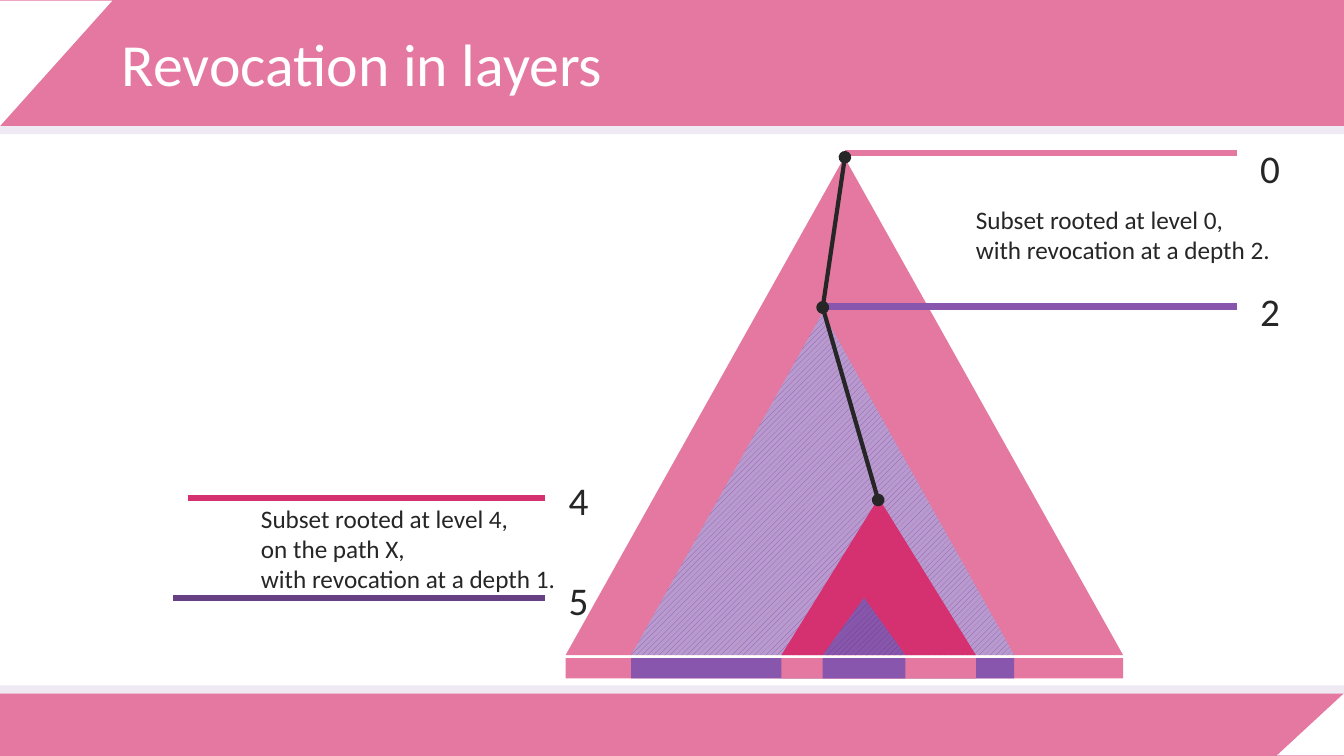
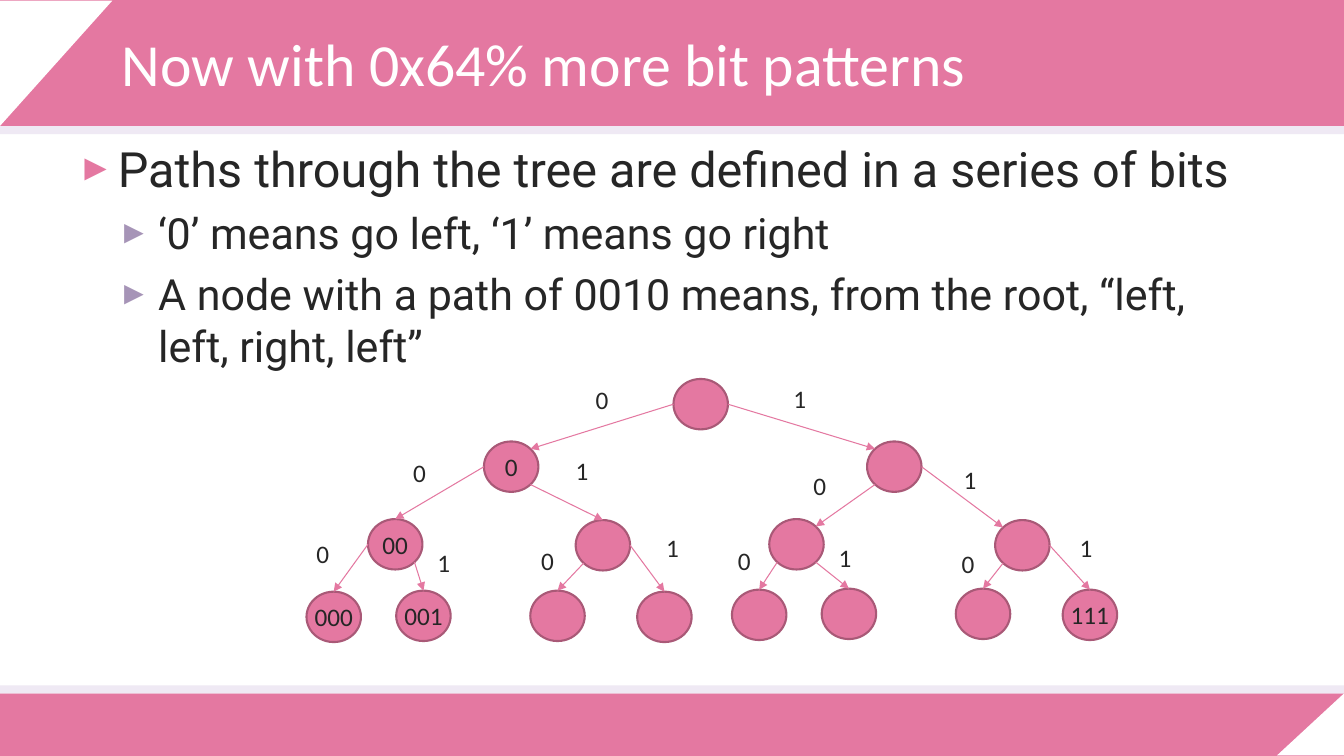
from math import cos, radians, sin

from lxml.etree import SubElement
from pptx import Presentation
from pptx.dml.color import RGBColor
from pptx.enum.dml import MSO_PATTERN
from pptx.enum.shapes import MSO_CONNECTOR, MSO_SHAPE
from pptx.enum.text import MSO_ANCHOR, PP_ALIGN
from pptx.oxml.ns import qn
from pptx.util import Inches, Pt

PINK, CRIMSON = "E478A1", "D5306F"
PURPLE, DEEP_PURPLE, LILAC = "8857AD", "664083", "B89ACE"
PALE, WHITE, INK = "EFE9F4", "FFFFFF", "262626"
NODE_EDGE, SUB_BULLET = "A95977", "A694B7"
HEADING_FONT, BODY_FONT = "Calibri", "Roboto"
SLIDE_W, SLIDE_H = 13.33, 7.5

# left, top, width, triangle fill (or hatch pair), bar colour; relative to the pyramid
PYRAMID_LAYERS = [
    (0, 0, 5.53, PINK, PINK),
    (0.65, 1.54, 3.8, (PURPLE, LILAC), PURPLE),
    (2.14, 3.38, 1.93, CRIMSON, PINK),
    (2.55, 4.37, 0.82, (DEEP_PURPLE, PURPLE), PURPLE),
]
PYRAMID_BASE = 4.94
REVOCATION_PATH = [(2.77, 0), (2.55, 1.49), (3.1, 3.4)]

# path: node left, top; relative to the tree
NODES = {
    "": (3.64, 0.01),
    "0": (1.76, 0.63), "1": (5.56, 0.63),
    "00": (0.61, 1.4), "01": (2.67, 1.41), "10": (4.59, 1.4), "11": (6.83, 1.41),
    "000": (0, 2.12), "001": (0.89, 2.11), "010": (2.22, 2.11), "011": (3.28, 2.12),
    "100": (4.22, 2.1), "101": (5.11, 2.09), "110": (6.44, 2.09), "111": (7.5, 2.1),
}
# child path: site on the parent, site on the child, left and top of the bit
BRANCHES = {
    "0": (2, 7, 2.77, 0.01), "1": (6, 1, 4.73, 0),
    "00": (2, 0, 0.96, 0.74), "01": (5, 0, 2.57, 0.72),
    "10": (3, 7, 4.93, 0.87), "11": (6, 1, 6.42, 0.81),
    "000": (2, 0, 0, 1.54), "001": (5, 0, 1.2, 1.63),
    "010": (3, 0, 2.23, 1.61), "011": (6, 0, 3.47, 1.48),
    "100": (3, 0, 4.18, 1.61), "101": (5, 0, 5.18, 1.58),
    "110": (3, 0, 6.4, 1.64), "111": (6, 0, 7.57, 1.48),
}
NAMED_NODES = {"0", "00", "000", "001", "111"}
NODE_W, NODE_H = 0.54, 0.5


def rgb(value):
    return RGBColor.from_string(value)


def set_all(target, values):
    for name, value in values.items():
        setattr(target, name, value)


def write(paragraph, text, size, color=INK, font=HEADING_FONT):
    run = paragraph.add_run()
    run.text = text
    set_all(run.font, {"name": font, "size": Pt(size)})
    run.font.color.rgb = rgb(color)


def add_text(slide, box, lines, size, color=INK, anchor=MSO_ANCHOR.TOP):
    frame = slide.shapes.add_textbox(*map(Inches, box)).text_frame
    set_all(frame, {"word_wrap": True, "vertical_anchor": anchor})
    for index, line in enumerate(lines):
        paragraph = frame.add_paragraph() if index else frame.paragraphs[0]
        write(paragraph, line, size, color)


def add_figure(slide, preset, box, fill, rotation=0):
    """Add a borderless shape; a pair of colours gives a diagonal hatch."""
    figure = slide.shapes.add_shape(preset, *map(Inches, box))
    figure.shadow.inherit = False
    figure.rotation = rotation
    figure.line.fill.background()
    if isinstance(fill, tuple):
        figure.fill.patterned()
        figure.fill.pattern = MSO_PATTERN.WIDE_UPWARD_DIAGONAL
        figure.fill.fore_color.rgb, figure.fill.back_color.rgb = map(rgb, fill)
    else:
        figure.fill.solid()
        figure.fill.fore_color.rgb = rgb(fill)
    return figure


def add_line(slide, start, end, color, width, head=None, tail=None):
    line = slide.shapes.add_connector(
        MSO_CONNECTOR.STRAIGHT, *map(Inches, (*start, *end)))
    line.line.color.rgb = rgb(color)
    line.line.width = Pt(width)
    outline = line.line._get_or_add_ln()
    for tag, kind in (("a:headEnd", head), ("a:tailEnd", tail)):
        if kind:
            SubElement(outline, qn(tag), type=kind)
    SubElement(line._element.spPr, qn("a:effectLst"))
    return line


def add_titled_slide(deck, title):
    slide = deck.slides.add_slide(deck.slide_layouts[6])
    rect, corner = MSO_SHAPE.RECTANGLE, MSO_SHAPE.RIGHT_TRIANGLE
    add_figure(slide, rect, (0, 6.88, SLIDE_W, 0.62), PINK)
    add_figure(slide, corner, (12.69, 6.85, 0.62, 0.67), WHITE, 270)
    add_figure(slide, rect, (0, 0, SLIDE_W, 1.25), PINK)
    add_figure(slide, corner, (-0.07, 0.07, 1.25, 1.12), WHITE, 90)
    for top in (1.25, 6.8):
        add_figure(slide, rect, (0, top, SLIDE_W, 0.08), PALE)
    add_text(slide, (1.11, 0, 11.56, 1.25), [title], 42.7, WHITE, MSO_ANCHOR.MIDDLE)
    return slide


def add_pyramid(slide, left, top):
    for dx, dy, width, fill, bar_color in PYRAMID_LAYERS:
        add_figure(slide, MSO_SHAPE.ISOSCELES_TRIANGLE,
                   (left + dx, top + dy, width, PYRAMID_BASE - dy), fill)
        add_figure(slide, MSO_SHAPE.RECTANGLE,
                   (left + dx, top + PYRAMID_BASE + 0.03, width, 0.2), bar_color)


def add_level(slide, number, start, end, y, color, label_top):
    add_line(slide, (start, y), (end, y), color, 4.5)
    add_text(slide, (end + 0.13, label_top, 0.55, 0.52), [number], 28)


def add_revocation_path(slide, left, top):
    points = [(left + dx, top + dy) for dx, dy in REVOCATION_PATH]
    for start, end in zip(points, points[1:]):
        add_line(slide, start, end, INK, 3, head="oval", tail="oval")


def add_bullets(slide, box, items):
    frame = slide.shapes.add_textbox(*map(Inches, box)).text_frame
    frame.word_wrap = True
    for index, (level, text) in enumerate(items):
        paragraph = frame.add_paragraph() if index else frame.paragraphs[0]
        size, before, color = ((34.7, 8, PINK), (30.7, 6.7, SUB_BULLET))[level]
        set_all(paragraph, {"level": level, "space_before": Pt(before)})
        properties = paragraph._p.get_or_add_pPr()
        properties.set("marL", str(Inches(0.4 * (level + 1))))
        properties.set("indent", str(Inches(-0.4)))
        bullet_color = SubElement(properties, qn("a:buClr"))
        SubElement(bullet_color, qn("a:srgbClr"), val=color)
        SubElement(properties, qn("a:buSzPct"), val="76000")
        SubElement(properties, qn("a:buFont"), typeface="Arial")
        SubElement(properties, qn("a:buChar"), char="►")
        write(paragraph, text, size, font=BODY_FONT)


def add_node(slide, left, top, name):
    node = add_figure(slide, MSO_SHAPE.OVAL, (left, top, NODE_W, NODE_H), PINK)
    node.line.color.rgb = rgb(NODE_EDGE)
    node.line.width = Pt(1.5)
    if name:
        frame = node.text_frame
        set_all(frame, {"margin_left": 0, "margin_right": 0, "margin_top": 0,
                        "margin_bottom": 0, "word_wrap": False,
                        "vertical_anchor": MSO_ANCHOR.MIDDLE})
        frame.paragraphs[0].alignment = PP_ALIGN.CENTER
        write(frame.paragraphs[0], name, 18)
    return node


def site_point(left, top, site):
    """Connection site of an ellipse, counted anticlockwise from the top."""
    angle = radians(90 + 45 * site)
    return (left + NODE_W / 2 * (1 + cos(angle)), top + NODE_H / 2 * (1 - sin(angle)))


def add_tree(slide, left, top):
    places = {path: (left + dx, top + dy) for path, (dx, dy) in NODES.items()}
    nodes = {path: add_node(slide, *place, path if path in NAMED_NODES else "")
             for path, place in places.items()}
    for child, (out_site, in_site, bit_dx, bit_dy) in BRANCHES.items():
        parent = child[:-1]
        branch = add_line(slide, site_point(*places[parent], out_site),
                          site_point(*places[child], in_site), PINK, 0.75,
                          tail="triangle")
        joints = branch._element.find(".//" + qn("p:cNvCxnSpPr"))
        for tag, path, site in (("a:stCxn", parent, out_site),
                                ("a:endCxn", child, in_site)):
            SubElement(joints, qn(tag), id=str(nodes[path].shape_id), idx=str(site))
        add_text(slide, (left + bit_dx, top + bit_dy, 0.46, 0.52), [child[-1]], 18)


def add_layers_slide(deck):
    slide = add_titled_slide(deck, "Revocation in layers")
    pyramid = (5.61, 1.56)
    add_pyramid(slide, *pyramid)
    for level in (("2", 8.16, 12.27, 3.04, PURPLE, 2.8),
                  ("0", 8.38, 12.27, 1.52, PINK, 1.38),
                  ("4", 1.86, 5.41, 4.94, CRIMSON, 4.68),
                  ("5", 1.72, 5.41, 5.93, DEEP_PURPLE, 5.67)):
        add_level(slide, *level)
    add_text(slide, (9.58, 1.98, 3.27, 0.71),
             ["Subset rooted at level 0,", "with revocation at a depth 2."], 18)
    add_text(slide, (2.49, 4.94, 3.46, 1.01),
             ["Subset rooted at level 4,", "on the path X,",
              "with revocation at a depth 1."], 18)
    add_revocation_path(slide, *pyramid)


def add_bits_slide(deck):
    slide = add_titled_slide(deck, "Now with 0x64% more bit patterns")
    add_bullets(slide, (0.67, 1.33, 12, 5.4), [
        (0, "Paths through the tree are defined in a series of bits"),
        (1, "‘0’ means go left, ‘1’ means go right"),
        (1, "A node with a path of 0010 means, from the root, “left, left, right, left”"),
    ])
    add_tree(slide, 3.04, 3.75)


def main():
    deck = Presentation()
    set_all(deck, {"slide_width": Inches(SLIDE_W), "slide_height": Inches(SLIDE_H)})
    add_layers_slide(deck)
    add_bits_slide(deck)
    deck.save("out.pptx")


if __name__ == "__main__":
    main()
